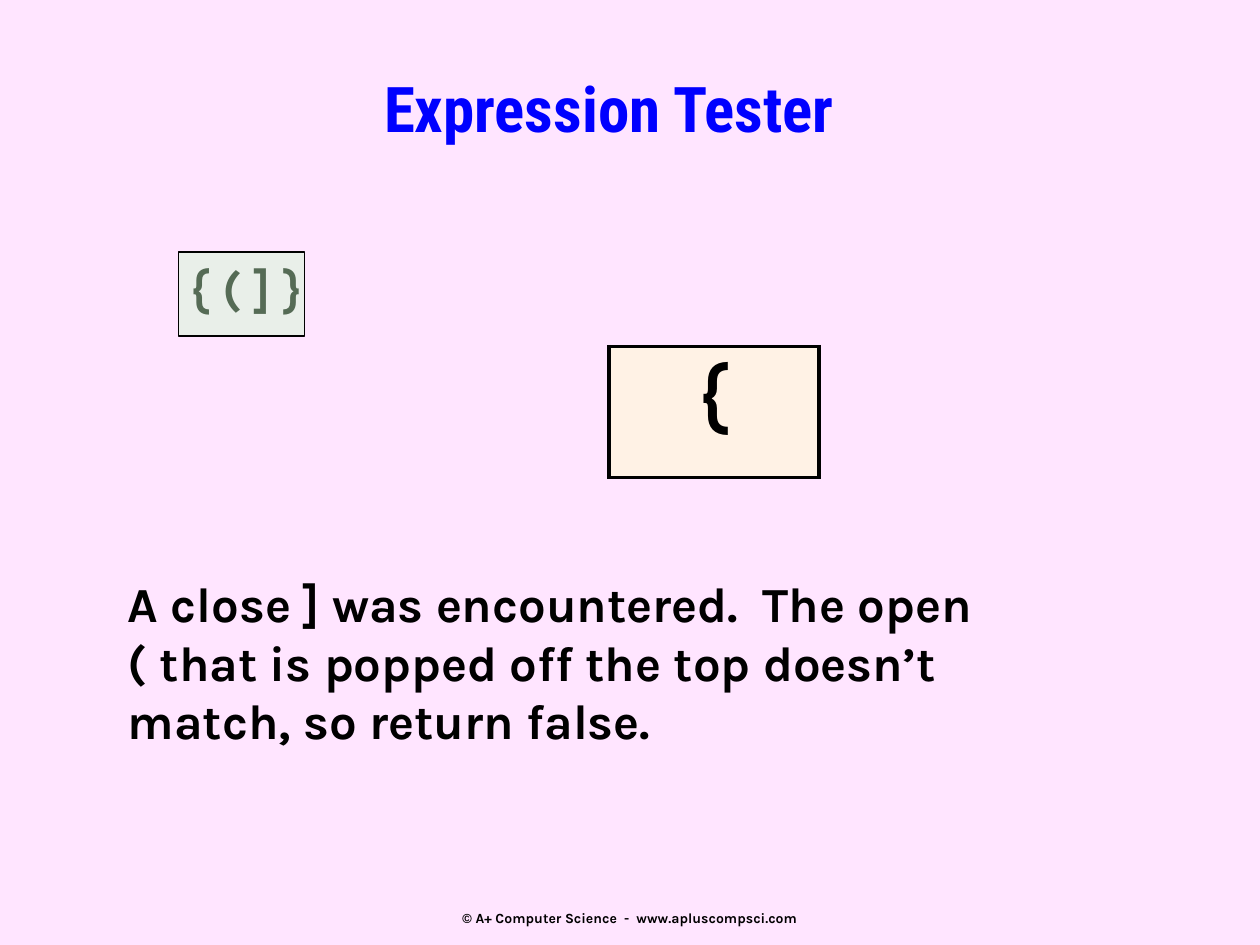
from dataclasses import dataclass

from lxml.etree import SubElement
from pptx import Presentation
from pptx.dml.color import RGBColor
from pptx.enum.shapes import MSO_SHAPE
from pptx.enum.text import MSO_ANCHOR, MSO_AUTO_SIZE, PP_ALIGN
from pptx.oxml.ns import qn
from pptx.util import Emu, Pt

PX = 7620  # EMU per px, 120 px to the inch
COLORS = {
    "background": "FFE5FF",
    "title": "0000FF",
    "ink": "000000",
    "expression": "CCFFCC",
    "stack": "FFFFCC",
}


@dataclass
class Box:
    left: int
    top: int
    width: int
    height: int

    def emu(self) -> list[Emu]:
        return [Emu(n * PX) for n in (self.left, self.top, self.width, self.height)]


@dataclass
class Label:
    text: str
    box: Box
    size: int
    align: PP_ALIGN = PP_ALIGN.LEFT
    anchor: MSO_ANCHOR = MSO_ANCHOR.TOP
    bottom: int = 6
    font: str = "Karla"
    color: str = "ink"


TITLE = Label("Expression Tester", Box(150, 60, 860, 100), 36, PP_ALIGN.CENTER,
              font="Roboto Condensed", color="title")
LABELS = [
    Label("© A+ Computer Science  -  www.apluscompsci.com", Box(410, 820, 380, 62), 8,
          PP_ALIGN.CENTER, MSO_ANCHOR.BOTTOM, bottom=0),
    Label("{ ( ] }", Box(170, 240, 168, 125), 28),
    Label("A close ] was encountered.  The open ( that is popped off the top "
          "doesn’t match, so return false.", Box(110, 540, 960, 181), 28),
]
EXPRESSION_BOX = Box(170, 240, 120, 80)
STACK_BOX = Box(580, 330, 200, 125)
STACK_TOP = Label("{", STACK_BOX, 44, PP_ALIGN.CENTER)


def rgb(name: str) -> RGBColor:
    return RGBColor.from_string(COLORS[name])


def write(frame, label: Label) -> None:
    frame.text = label.text
    para = frame.paragraphs[0]
    para.alignment = label.align
    span = para.runs[0]
    formats = {"name": label.font, "size": Pt(label.size), "bold": True}
    for key, value in formats.items():
        setattr(span.font, key, value)
    span.font.color.rgb = rgb(label.color)


def place(shape, label: Label) -> None:
    shape.left, shape.top, shape.width, shape.height = label.box.emu()
    frame = shape.text_frame
    formats = {
        "word_wrap": True,
        "auto_size": MSO_AUTO_SIZE.NONE,
        "vertical_anchor": label.anchor,
        "margin_bottom": Emu(label.bottom * PX),
    }
    for key, value in formats.items():
        setattr(frame, key, value)
    write(frame, label)


def tint(fill, parent, color: str, opacity: int) -> None:
    """Fill with a colour that is only opacity percent opaque."""
    fill.solid()
    fill.fore_color.rgb = rgb(color)
    swatch = parent.find(qn("a:solidFill")).find(qn("a:srgbClr"))
    SubElement(swatch, qn("a:alpha"), val=str(opacity * 1000))


def add_borders(cell, points: float) -> None:
    properties = cell._tc.get_or_add_tcPr()
    for index, side in enumerate(("lnL", "lnR", "lnT", "lnB")):
        line = SubElement(properties, qn(f"a:{side}"), w=str(Pt(points)))
        properties.insert(index, line)
        paint = SubElement(line, qn("a:solidFill"))
        SubElement(paint, qn("a:srgbClr"), val=COLORS["ink"])


def add_expression_cover(page) -> None:
    cover = page.shapes.add_shape(MSO_SHAPE.RECTANGLE, *EXPRESSION_BOX.emu())
    cover.shadow.inherit = False
    tint(cover.fill, cover._element.spPr, "expression", 42)
    cover.line.color.rgb = rgb("ink")
    cover.line.width = Pt(0.75)


def add_stack(page) -> None:
    table = page.shapes.add_table(1, 1, *STACK_BOX.emu()).table
    table.first_row = table.horz_banding = False
    cell = table.cell(0, 0)
    write(cell.text_frame, STACK_TOP)
    tint(cell.fill, cell._tc.get_or_add_tcPr(), "stack", 50)
    add_borders(cell, 2.25)


def main() -> None:
    deck = Presentation()
    deck.slide_width, deck.slide_height = Emu(1200 * PX), Emu(900 * PX)
    page = deck.slides.add_slide(deck.slide_layouts[5])
    page.background.fill.solid()
    page.background.fill.fore_color.rgb = rgb("background")

    # Title and texts
    place(page.shapes.title, TITLE)
    for label in LABELS:
        place(page.shapes.add_textbox(*label.box.emu()), label)

    # Translucent cover over the expression, then the stack
    add_expression_cover(page)
    add_stack(page)
    deck.save("out.pptx")


if __name__ == "__main__":
    main()
